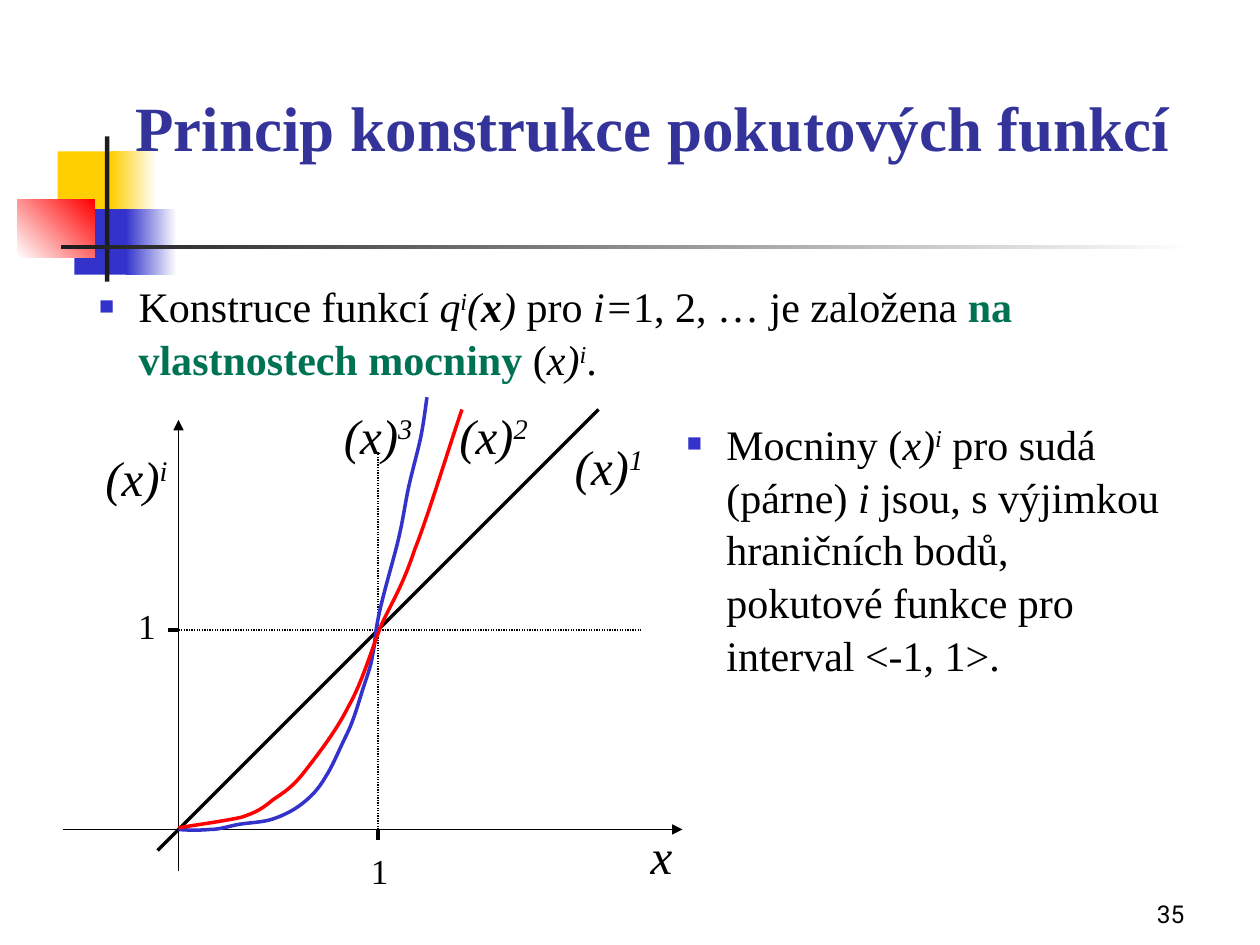
from lxml import etree
from pptx import Presentation
from pptx.dml.color import RGBColor
from pptx.enum import dml, shapes, text
from pptx.oxml import ns
from pptx.util import Pt

BLACK = RGBColor(0x00, 0x00, 0x00)
WHITE = RGBColor(0xFF, 0xFF, 0xFF)
CHARCOAL = RGBColor(0x1C, 0x1C, 0x1C)
YELLOW = RGBColor(0xFF, 0xCF, 0x01)
BLUE = RGBColor(0x33, 0x33, 0xCC)
RED = RGBColor(0xFF, 0x00, 0x00)
NAVY = RGBColor(0x33, 0x33, 0x99)
GREEN = RGBColor(0x00, 0x72, 0x54)
SERIF = "Times New Roman"


def fill_text(box, spans, size, align, font=SERIF):
    """Write (text, style) spans; style letters: i italic, b bold, s superscript, g green."""
    frame = box.text_frame
    frame.word_wrap = True
    frame.auto_size = text.MSO_AUTO_SIZE.NONE
    para = frame.paragraphs[0]
    para.alignment = align
    para.space_before = Pt(0)
    if align == text.PP_ALIGN.LEFT:
        para.line_spacing = 1.05
        props = para._p.get_or_add_pPr()
        props.set("marL", str(Pt(30)))
        props.set("indent", str(-Pt(22.5)))
        color = etree.SubElement(props, ns.qn("a:buClr"))
        etree.SubElement(color, ns.qn("a:srgbClr"), val=str(BLUE))
        etree.SubElement(props, ns.qn("a:buSzPct"), val="60000")
        etree.SubElement(props, ns.qn("a:buFont"), typeface=SERIF)
        etree.SubElement(props, ns.qn("a:buChar"), char="■")
    para.font.name = font
    para.font.size = Pt(size)
    para.font.color.rgb = BLACK
    for words, style in spans:
        span = para.add_run()
        span.text = words
        if "i" in style:
            span.font.italic = True
        if "b" in style:
            span.font.bold = True
        if "g" in style:
            span.font.color.rgb = GREEN
        if "s" in style:
            span.font._element.set("baseline", "30000")
    return para


def place(box, left, top, width, height):
    box.left, box.top, box.width, box.height = Pt(left), Pt(top), Pt(width), Pt(height)


deck = Presentation()
deck.slide_width, deck.slide_height = Pt(720), Pt(540)
page = deck.slides.add_slide(deck.slide_layouts[1])

# Template decoration: left, top, width, height, start colour, end colour, angle
decoration = [
    (33, 86.5, 35, 37.5, YELLOW, None, 0),
    (63.5, 86.5, 26, 37.5, YELLOW, WHITE, 0),
    (42.5, 119.5, 33, 37.5, BLUE, None, 0),
    (72, 119.5, 29, 37.5, BLUE, WHITE, 0),
    (10, 114, 44, 33, WHITE, RED, 45),
    (60, 78, 2.5, 83, CHARCOAL, None, 0),
    (35, 140, 648, 2.5, CHARCOAL, WHITE, 0),
]
for left, top, width, height, start, end, angle in decoration:
    block = page.shapes.add_shape(
        shapes.MSO_SHAPE.RECTANGLE, Pt(left), Pt(top), Pt(width), Pt(height))
    block.shadow.inherit = False
    block.line.fill.background()
    if end is None:
        block.fill.solid()
        block.fill.fore_color.rgb = start
    else:
        block.fill.gradient()
        block.fill.gradient_angle = angle
        for stop, color in zip(block.fill.gradient_stops, (start, end)):
            stop.color.rgb = color

# Title and lists
title = page.shapes.title
place(title, 42, 30, 662, 109)
heading = fill_text(title, [("Princip konstrukce pokutových funkcí", "b")],
                    36, text.PP_ALIGN.CENTER)
heading.font.color.rgb = NAVY
title.text_frame.vertical_anchor = text.MSO_ANCHOR.BOTTOM
title.text_frame.margin_bottom = Pt(45)

body = page.placeholders[1]
place(body, 42, 155.5, 636, 71)
fill_text(body, [
    ("Konstruce funkcí ", ""), ("q", "i"), ("i", "is"), ("(", "i"), ("x", "ib"), (")", "i"),
    (" pro ", ""), ("i=", "i"), ("1, 2, … je založena ", ""),
    ("na vlastnostech mocniny ", "bg"), ("(", ""), ("x)", "i"), ("i", "is"), (".", ""),
], 24, text.PP_ALIGN.LEFT)

remark = page.shapes.add_textbox(Pt(378), Pt(234), Pt(300), Pt(183.5))
fill_text(remark, [
    ("Mocniny (", ""), ("x)", "i"), ("i", "is"), (" pro sudá (párne) ", ""), ("i ", "i"),
    ("jsou, s výjimkou hraničních bodů, pokutové funkce pro interval <-1, 1>.", ""),
], 24, text.PP_ALIGN.LEFT)

number = page.shapes.add_textbox(Pt(534), Pt(498), Pt(150), Pt(36))
fill_text(number, [("35", "")], 14, text.PP_ALIGN.RIGHT, "Roboto")
number.text_frame.vertical_anchor = text.MSO_ANCHOR.BOTTOM

# Axes, ticks, guides and the straight line (x)^1
ORIGIN_X, ORIGIN_Y, UNIT, TICK = 102, 474, 114, 6
one_x, one_y = ORIGIN_X + UNIT, ORIGIN_Y - UNIT
lines = [
    (ORIGIN_X, 498, ORIGIN_X, 240, 0.75, "axis"),
    (36, ORIGIN_Y, 390, ORIGIN_Y, 0.75, "axis"),
    (one_x, ORIGIN_Y, one_x, ORIGIN_Y + TICK, 2.75, "tick"),
    (ORIGIN_X - TICK, one_y, ORIGIN_X, one_y, 2.75, "tick"),
    (ORIGIN_X, one_y, 366, one_y, 0.75, "guide"),
    (one_x, ORIGIN_Y, one_x, 258, 0.75, "guide"),
    (90, 486, 342, 234, 2, "function"),
]
for x1, y1, x2, y2, weight, role in lines:
    line = page.shapes.add_connector(
        shapes.MSO_CONNECTOR.STRAIGHT, Pt(x1), Pt(y1), Pt(x2), Pt(y2))
    line.line.color.rgb = BLACK
    line.line.width = Pt(weight)
    if role == "guide":
        line.line.dash_style = dml.MSO_LINE.ROUND_DOT
    if role == "axis":
        etree.SubElement(line.line._get_or_add_ln(), ns.qn("a:tailEnd"), type="triangle")
    etree.SubElement(line._element.spPr, ns.qn("a:effectLst"))

# Curves: a start point, then three Bézier points per segment
cubic = [
    (102, 474), (108, 474.5), (114, 474.5), (120, 474), (126, 474), (131, 472), (137, 471),
    (143, 470), (150, 470), (156, 468), (162, 466), (168, 463), (173, 459),
    (178, 455), (182, 451), (186, 444), (190, 438), (194, 428), (198, 420),
    (202, 412), (204.5, 403), (207, 395), (209.5, 387), (212, 381), (213, 374),
    (214.5, 367), (214, 364), (216, 354), (218, 343), (224, 323), (227, 311),
    (230, 299), (231, 291), (233, 281), (235, 271), (238, 261), (240, 252),
    (242, 243), (243, 234), (244, 227),
]
square = [
    (102, 473), (115, 471), (129, 469), (138, 467), (147, 464), (150, 462), (156, 457),
    (162, 453), (167, 450), (174, 441), (181, 432), (192, 418), (199, 404),
    (207, 390), (212, 372), (218, 357), (225, 342), (230, 335), (237, 314),
    (245, 294), (258, 251), (264, 234),
]
for points, color in ((cubic, BLUE), (square, RED)):
    start, *rest = [(Pt(x), Pt(y)) for x, y in points]
    builder = page.shapes.build_freeform(*start)
    builder.add_line_segments(rest, close=False)
    curve = builder.convert_to_shape()
    curve.shadow.inherit = False
    curve.fill.background()
    curve.line.color.rgb = color
    curve.line.width = Pt(2)
    outline = next(curve._element.iter(ns.qn("a:path")))
    segments = outline.findall(ns.qn("a:lnTo"))
    for first in range(0, len(segments), 3):
        bezier = etree.SubElement(outline, ns.qn("a:cubicBezTo"))
        for segment in segments[first:first + 3]:
            bezier.append(segment[0])
            outline.remove(segment)

# Labels: left, top, width, height, size, spans
labels = [
    (199, 482, 36, 32, 20, [("1", "")]),
    (66, 342, 36, 32, 20, [("1", "")]),
    (360, 468, 36, 41, 28, [("x", "i")]),
]
for left, top, power in ((48, 252, "i"), (318, 246, "1"), (252, 228, "2"), (186, 228, "3")):
    labels.append((left, top, 60, 41, 28, [("(x)", "i"), (power, "is")]))
for left, top, width, height, size, spans in labels:
    label = page.shapes.add_textbox(Pt(left), Pt(top), Pt(width), Pt(height))
    fill_text(label, spans, size, text.PP_ALIGN.CENTER)

deck.save("out.pptx")
